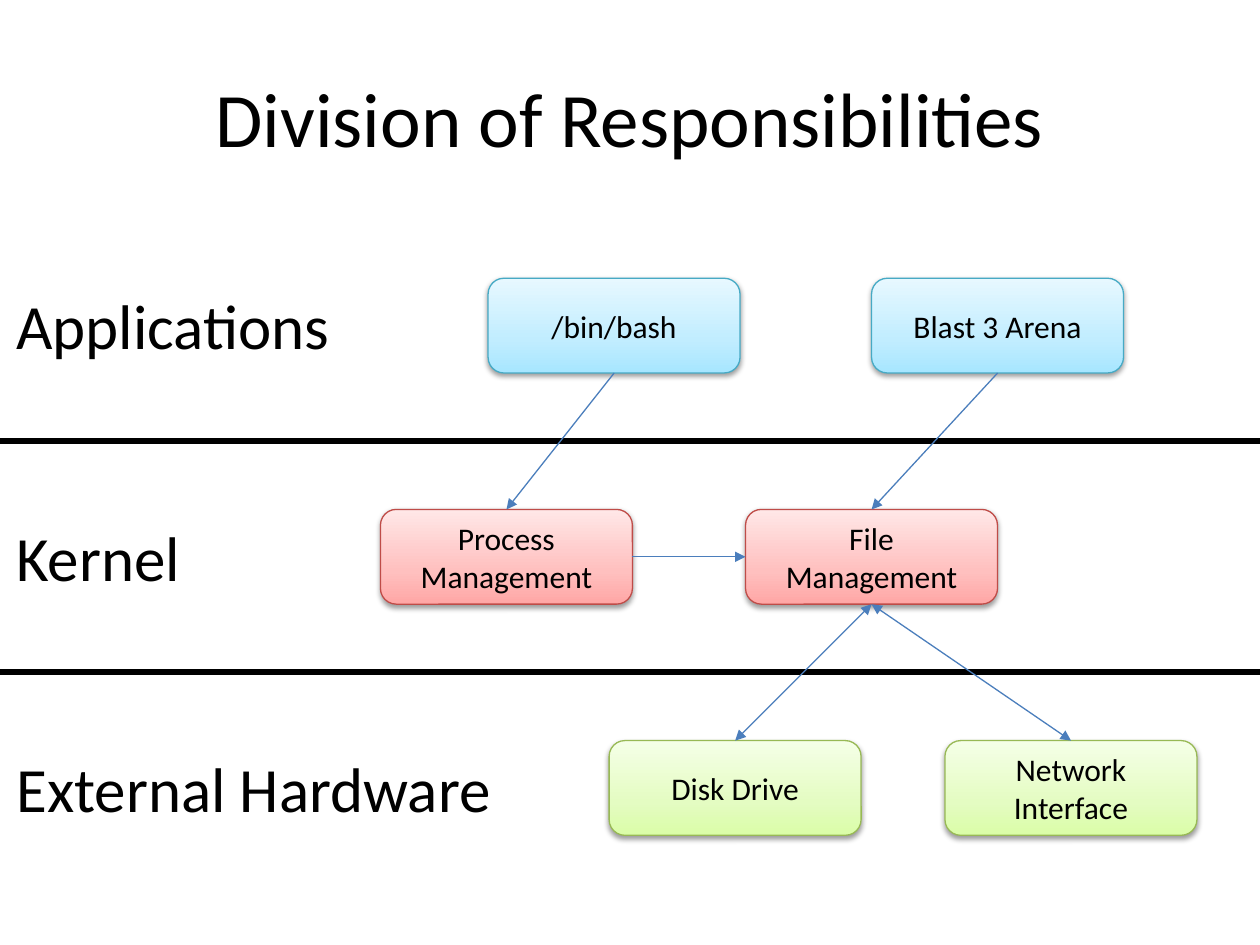
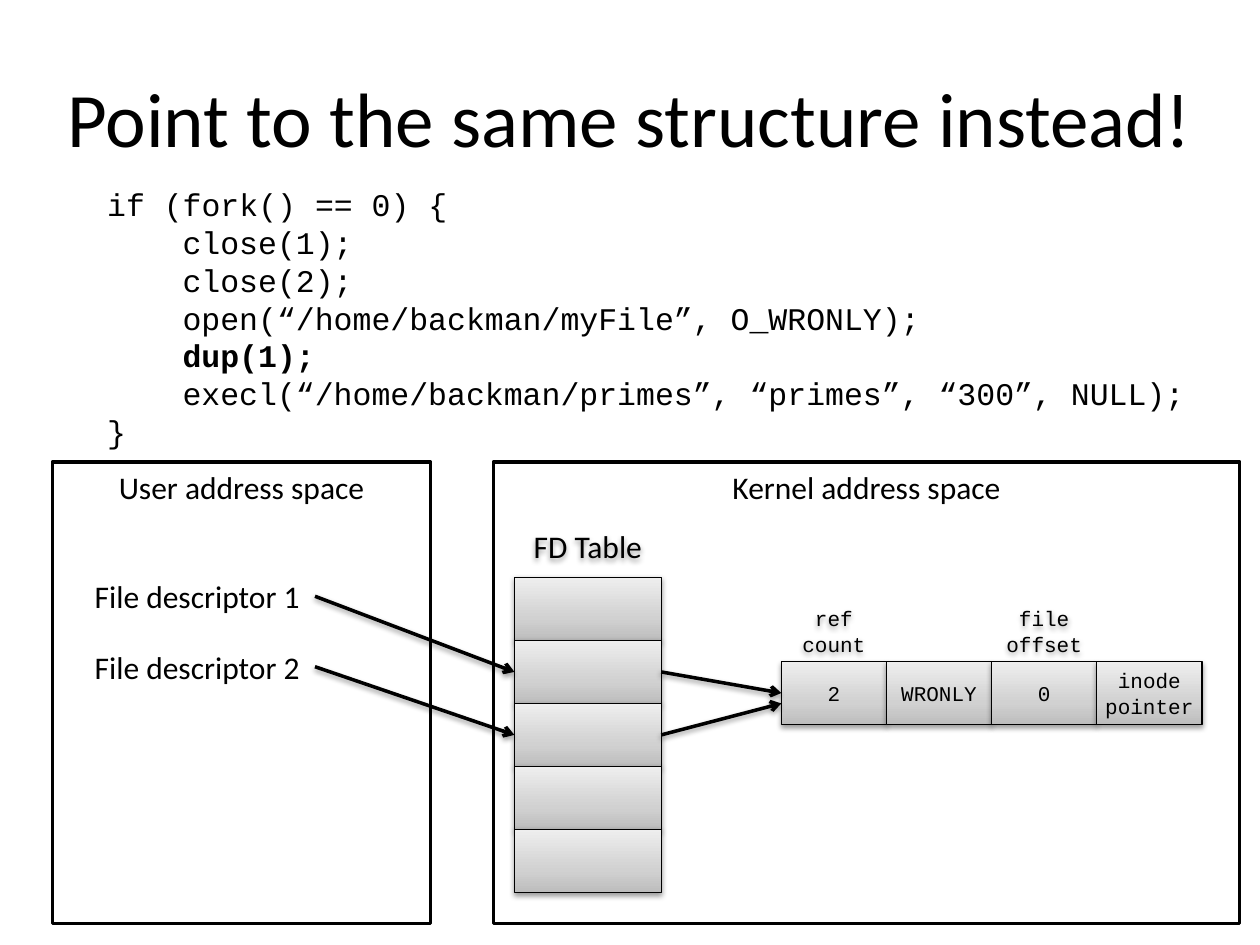
from lxml import etree
from pptx import Presentation, util as u
from pptx.dml import color
from pptx.enum import shapes as kinds, text
from pptx.oxml import ns

SANS, MONO = "Calibri", "Courier New"
BLACK, WHITE, STEEL = "000000", "FFFFFF", "4B7EBC"
# Each scheme: outline, then gradient colours from bottom to top
BLUE = ("46AAC5", "A7E6FF", "C1EDFF", "E7F8FF")
RED = ("BF4C48", "FFA6A5", "FFC0BF", "FFE7E7")
GREEN = ("98B955", "DAFDA7", "E4FCC2", "F5FFE7")
GRAY = (BLACK, "BDBDBD", "D1D1D1", "EEEEEE")
TOP, LEFT, BOTTOM, RIGHT = range(4)  # connection sites of a box
MID, HIGH = text.MSO_ANCHOR.MIDDLE, text.MSO_ANCHOR.TOP
RECT, ROUND = kinds.MSO_SHAPE.RECTANGLE, kinds.MSO_SHAPE.ROUNDED_RECTANGLE


def rgb(code):
    """Turn a hex string into a colour."""
    return color.RGBColor.from_string(code)


def sub(node, tag, **attrs):
    """Add a DrawingML child element."""
    return etree.SubElement(node, ns.qn("a:" + tag), attrs)


def shade(item, on=True):
    """Give an item the soft drop shadow, or none at all."""
    fx = sub(item._element.spPr, "effectLst")
    if on:
        drop = sub(fx, "outerShdw", blurRad="40000", dist="20000",
                   dir="5400000", rotWithShape="0")
        sub(sub(drop, "srgbClr", val=BLACK), "alpha", val="38000")


def write(item, words, size=18, font=SANS, mid=True, anchor=MID, inset=None):
    """Fill an item with text in one style."""
    frame = item.text_frame
    frame.word_wrap = True
    frame.vertical_anchor = anchor
    if inset is not None:
        frame.margin_left = frame.margin_right = u.Cm(inset)
        frame.margin_top = frame.margin_bottom = u.Cm(inset)
    frame.text = words
    for para in frame.paragraphs:
        para.alignment = text.PP_ALIGN.CENTER if mid else text.PP_ALIGN.LEFT
        for run in para.runs:
            run.font.size = u.Pt(size)
            run.font.name = font
            run.font.color.rgb = rgb(BLACK)


def label(host, at, words, **style):
    """Add a text box."""
    item = host.add_textbox(*map(u.Cm, at))
    write(item, words, **style)
    return item


def title(slide, words, left=0):
    """Add the slide title, centred between equal margins."""
    label(slide.shapes, (left, 0.76, 25.4 - 2 * left, 3.18), words, size=44)


def box(host, at, scheme, words="", form=RECT, **style):
    """Add a shadowed box with a vertical gradient."""
    item = host.add_shape(form, *map(u.Cm, at))
    edge, *tints = scheme
    item.fill.gradient()
    item.fill.gradient_angle = 90
    stops = item._element.spPr.find(".//" + ns.qn("a:gsLst"))
    stops.clear()
    for pos, tint in zip((0, 35000, 100000), tints):
        sub(sub(stops, "gs", pos=str(pos)), "srgbClr", val=tint)
    item.line.color.rgb = rgb(edge)
    item.line.width = u.Pt(0.75)
    shade(item)
    if words:
        write(item, words, **style)
    return item


def panel(slide, left, width, words):
    """Add a white framed area with a heading at its top."""
    item = slide.shapes.add_shape(
        RECT, *map(u.Cm, (left, 9.31, width, 9.31)))
    item.fill.solid()
    item.fill.fore_color.rgb = rgb(WHITE)
    item.line.color.rgb = rgb(BLACK)
    item.line.width = u.Pt(2)
    item.shadow.inherit = False
    write(item, words, anchor=HIGH)


def line(slide, ends, tint=BLACK, width=2, head=None, tail=None, soft=False):
    """Add a straight line with optional arrowheads."""
    item = slide.shapes.add_connector(
        kinds.MSO_CONNECTOR.STRAIGHT, *map(u.Cm, ends))
    item.line.color.rgb = rgb(tint)
    item.line.width = u.Pt(width)
    stroke = item.line._get_or_add_ln()
    for tag, kind in (("headEnd", head), ("tailEnd", tail)):
        if kind:
            sub(stroke, tag, type=kind)
    shade(item, soft)
    return item


def link(slide, start, out, end, into, head=None):
    """Join two boxes with an arrow glued to their sites."""
    item = line(slide, (0, 0, 0, 0), STEEL, 0.75, head, "triangle")
    item.begin_connect(start, out)
    item.end_connect(end, into)


def layers(slide):
    """Draw the three layers of the system and their links."""
    title(slide, "Division of Responsibilities", 1.27)
    step = 4.66
    rows = (
        ("Applications", 7.11, BLUE,
         ((9.84, "/bin/bash"), (17.57, "Blast 3 Arena"))),
        ("Kernel", 3.94, RED,
         ((7.67, "Process Management"), (15.03, "File Management"))),
        ("External Hardware", 10.49, GREEN,
         ((12.28, "Disk Drive"), (19.05, "Network Interface"))),
    )
    nodes = []
    for i, (name, width, scheme, items) in enumerate(rows):
        if i:
            y = 8.89 + (i - 1) * step
            line(slide, (0, y, 25.4, y), width=3.5)
        label(slide.shapes, (0.08, 5.66 + i * step, width, 1.8), name,
              size=36, mid=False, anchor=HIGH)
        for left, words in items:
            nodes.append(box(slide.shapes, (left, 5.61 + i * step, 5.08, 1.91),
                             scheme, words, ROUND))
    shell, game, process, files, disk, net = nodes
    link(slide, shell, BOTTOM, process, TOP)
    link(slide, game, BOTTOM, files, TOP)
    link(slide, process, RIGHT, files, LEFT)
    for device in (disk, net):
        link(slide, device, TOP, files, BOTTOM, head="triangle")


def code(slide):
    """Write the listing, its body indented and the key call bold."""
    body = ("close(1);", "close(2);",
            "open(“/home/backman/myFile”, O_WRONLY);", "dup(1);",
            "execl(“/home/backman/primes”, “primes”, “300”, NULL);")
    item = label(slide.shapes, (1.91, 3.61, 22.23, 5.64),
                 "\n".join(("if (fork() == 0) {", *body, "}")),
                 font=MONO, mid=False, anchor=HIGH)
    item.text_frame.margin_right = 0
    for para in item.text_frame.paragraphs[1:-1]:
        para._p.get_or_add_pPr().set("marL", str(u.Cm(1.52)))
        para.runs[0].font.bold = para.text == "dup(1);"


def table(slide, left, top, width, row):
    """Stack the empty slots of the descriptor table under its name."""
    host = slide.shapes.add_group_shape().shapes
    shade(label(host, (left, top - row, width, row), "FD Table"))
    for i in range(5):
        box(host, (left, top + i * row, width, row), GRAY)


def record(slide, left, top, width, row):
    """Lay out the fields of the open file, with names above two."""
    style = dict(size=12, font=MONO, inset=0)
    host = slide.shapes.add_group_shape().shapes
    fields = (("2", "ref\ncount"), ("WRONLY", ""),
              ("0", "file offset"), ("inode pointer", ""))
    for i, (value, name) in enumerate(fields):
        x = left + i * width
        box(host, (x, top, width, row), GRAY, value, **style)
        if name:
            shade(label(slide.shapes, (x, top - 1.25, width, row),
                        name, **style))


def pointers(slide):
    """Draw two descriptors that share one file structure."""
    title(slide, "Point to the same structure instead!")
    code(slide)
    left, top, width, row = 10.37, 11.64, 2.96, 1.27
    file = 15.75
    panel(slide, 9.95, 15.04, "Kernel address space")
    table(slide, left, top, width, row)
    record(slide, file, 13.34, 2.12, row)
    panel(slide, 1.06, 7.62, "User address space")
    for i, target in enumerate((13.97, 14.18)):
        y = top + i * 1.42
        slot = top + (i + 1.5) * row
        label(slide.shapes, (1.91, y, 4.45, 0.76), f"File descriptor {i + 1}",
              mid=False, anchor=HIGH, inset=0)
        for ends in ((6.35, y + 0.38, left, slot),
                     (left + width, slot, file, target)):
            line(slide, ends, tail="arrow", soft=True)


def main():
    """Build both slides and save them."""
    deck = Presentation()
    deck.slide_width, deck.slide_height = u.Cm(25.4), u.Cm(19.05)
    for draw in (layers, pointers):
        draw(deck.slides.add_slide(deck.slide_layouts[6]))
    deck.save("out.pptx")


main()
